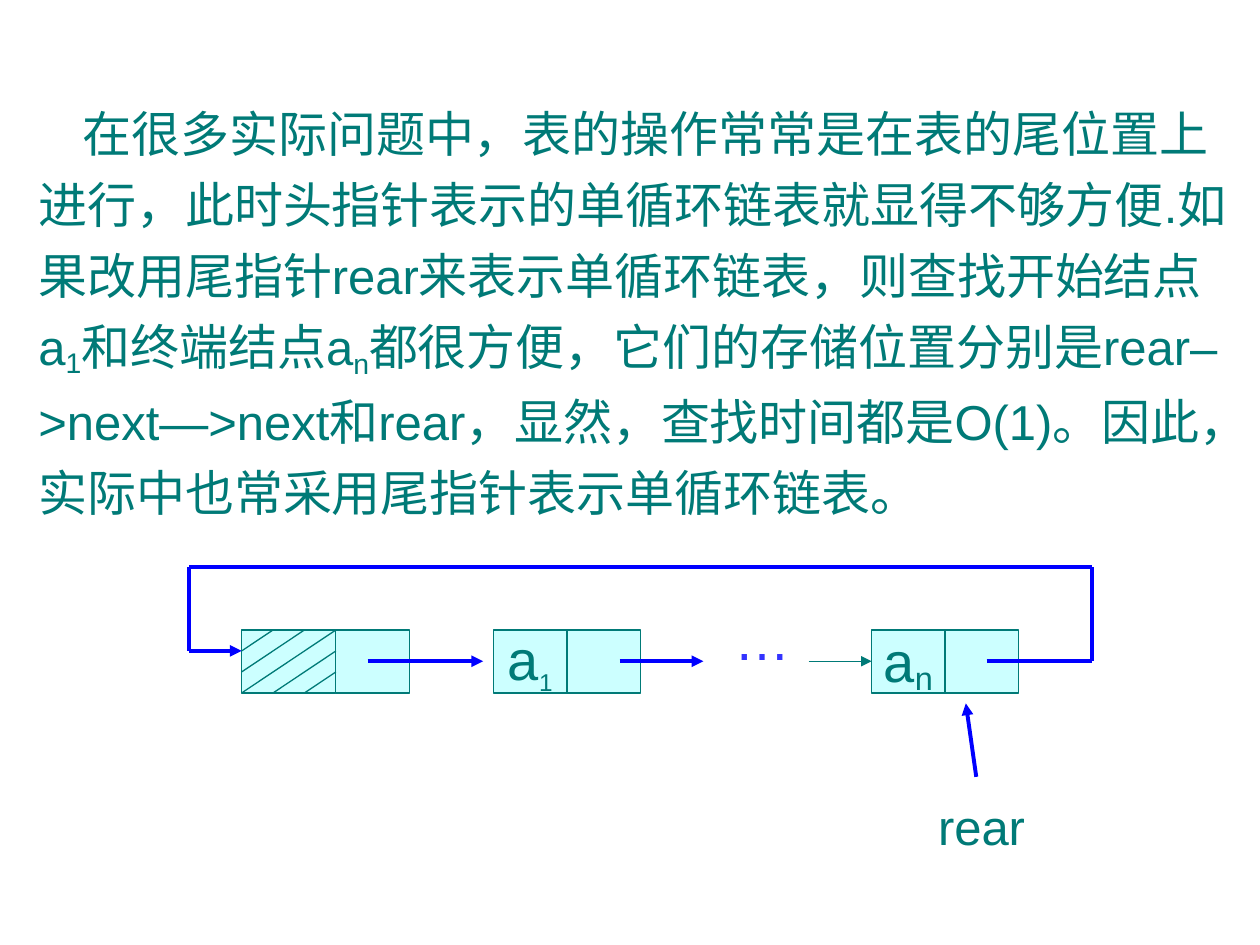
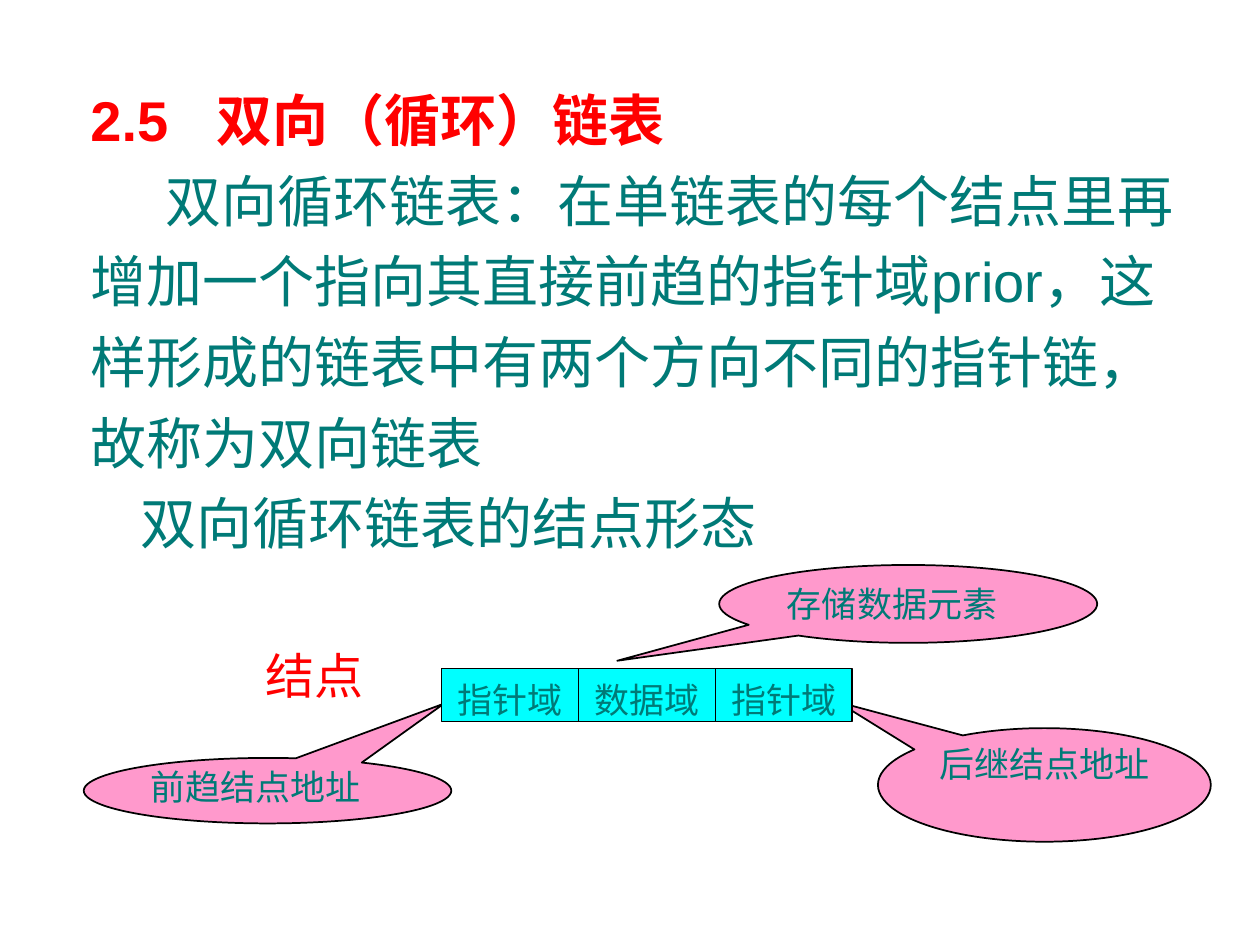
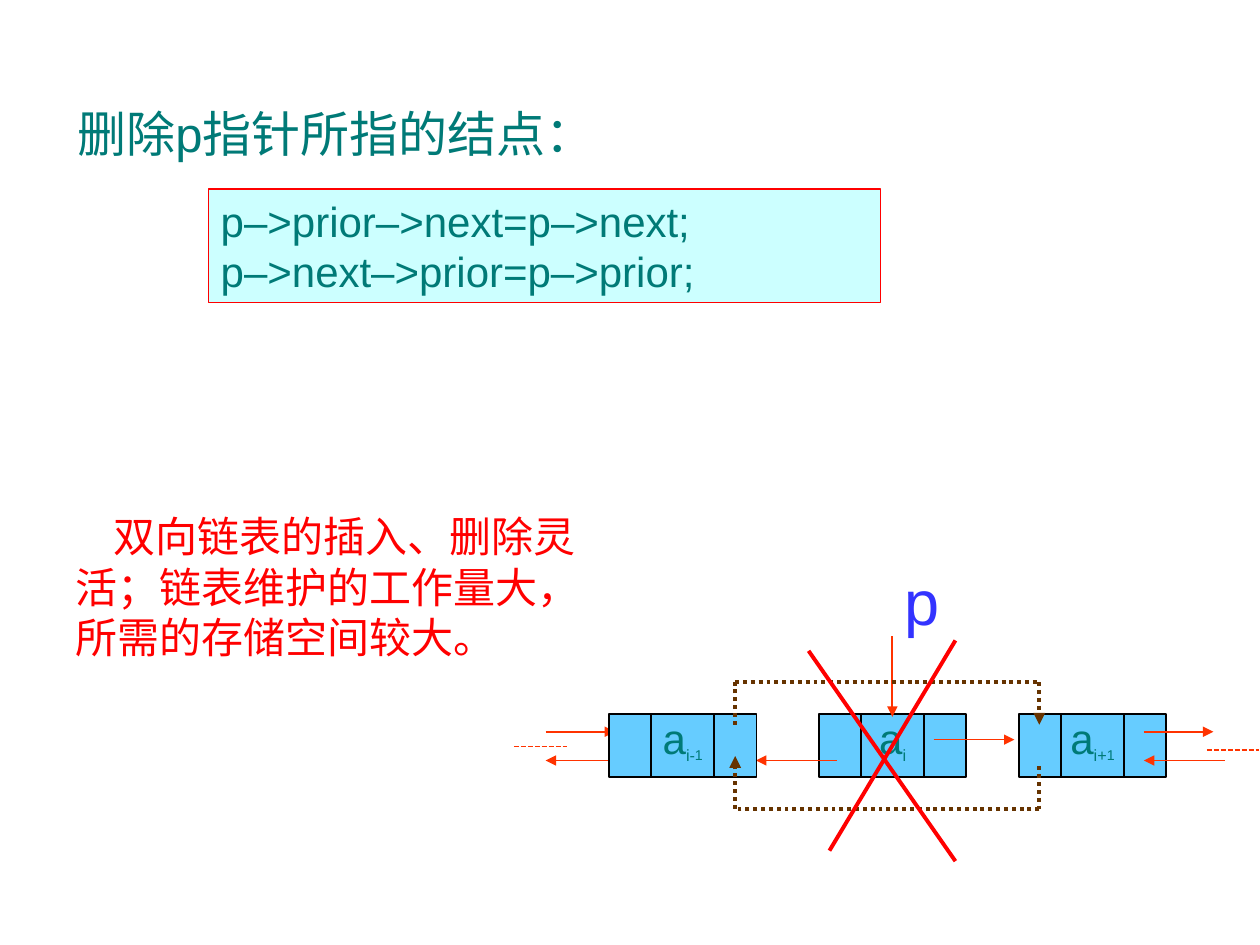
from itertools import pairwise

from lxml.etree import SubElement
from pptx import Presentation
from pptx.dml.color import RGBColor
from pptx.enum.dml import MSO_LINE as Dash
from pptx.enum.shapes import MSO_CONNECTOR as Connector, MSO_SHAPE as Shape
from pptx.enum.text import MSO_ANCHOR as Anchor, MSO_AUTO_SIZE as AutoSize, PP_ALIGN as Align
from pptx.oxml.ns import qn
from pptx.util import Cm, Pt

# Shared look
FONT = "Arial"
TEAL = RGBColor(0x00, 0x7A, 0x77)
RED = RGBColor(0xFF, 0x00, 0x00)
BLUE = RGBColor(0x00, 0x00, 0xFF)
VIOLET = RGBColor(0x33, 0x33, 0xFF)
ORANGE = RGBColor(0xFF, 0x33, 0x00)
BROWN = RGBColor(0x66, 0x33, 0x00)
BLACK = RGBColor(0x00, 0x00, 0x00)
PALE_CYAN = RGBColor(0xCC, 0xFF, 0xFF)
CYAN = RGBColor(0x00, 0xFF, 0xFF)
SKY = RGBColor(0x66, 0xCC, 0xFF)
PINK = RGBColor(0xFF, 0x99, 0xCC)

ROW_HEIGHT = 1.27


# Text
def write(frame, paragraphs, size, color=TEAL, bold=False, align=Align.LEFT,
          anchor=Anchor.TOP, spacing=1.0, before=0, indents=(), tab=None,
          wrap=True, fit=AutoSize.SHAPE_TO_FIT_TEXT):
    """Fill a frame; a paragraph is a string or a list of (text, size, baseline %)."""
    for name, value in {"word_wrap": wrap, "auto_size": fit,
                        "vertical_anchor": anchor}.items():
        setattr(frame, name, value)
    for number, runs in enumerate(paragraphs):
        paragraph = frame.add_paragraph() if number else frame.paragraphs[0]
        for name, value in {"alignment": align, "line_spacing": spacing,
                            "space_before": Pt(before), "space_after": Pt(0)}.items():
            setattr(paragraph, name, value)
        properties = paragraph._p.get_or_add_pPr()
        properties.set("marL", "0")
        properties.set("indent", str(Cm(indents[number] if indents else 0)))
        SubElement(properties, qn("a:buNone"))
        if tab:
            stops = SubElement(properties, qn("a:tabLst"))
            SubElement(stops, qn("a:tab"), pos=str(Cm(tab)), algn="l")
        for text, run_size, baseline in [(runs, size, 0)] if isinstance(runs, str) else runs:
            run = paragraph.add_run()
            run.text = text
            for name, value in {"name": FONT, "size": Pt(run_size), "bold": bold}.items():
                setattr(run.font, name, value)
            run.font.color.rgb = color
            if baseline:
                run._r.get_or_add_rPr().set("baseline", str(baseline * 1000))


def fill_placeholder(placeholder, box, paragraphs, size, **style):
    for name, value in zip(("left", "top", "width", "height"), box):
        setattr(placeholder, name, Cm(value))
    write(placeholder.text_frame, paragraphs, size, **style)


def add_label(slide, box, text, size, **style):
    label = slide.shapes.add_textbox(*map(Cm, box))
    write(label.text_frame, [text], size, **style)


# Shapes
def add_block(slide, box, fill, line, width=0.75, kind=Shape.RECTANGLE):
    block = slide.shapes.add_shape(kind, *map(Cm, box))
    block.shadow.inherit = False
    block.fill.solid()
    block.fill.fore_color.rgb = fill
    block.line.color.rgb = line
    block.line.width = Pt(width)
    return block


def add_cell(slide, box, fill, line, runs=None, size=20, width=0.75, **style):
    cell = add_block(slide, box, fill, line, width)
    if runs:
        write(cell.text_frame, [runs], size, align=Align.CENTER, anchor=Anchor.MIDDLE,
              wrap=False, fit=AutoSize.NONE, **style)


def add_callout(slide, box, tip, text, spacing):
    callout = add_block(slide, box, PINK, BLACK, 1, Shape.OVAL_CALLOUT)
    for number, value in enumerate(tip):
        callout.adjustments[number] = value
    write(callout.text_frame, [text], 20, spacing=spacing)


# Lines
def add_path(slide, points, color, width, arrow=False, dash=None):
    """Join points with straight lines; the last may carry an arrowhead."""
    for start, end in pairwise(points):
        segment = slide.shapes.add_connector(Connector.STRAIGHT, *map(Cm, start + end))
        segment.line.color.rgb = color
        segment.line.width = Pt(width)
        if dash:
            segment.line.dash_style = dash
        properties = segment._element.spPr
        if arrow and end == points[-1]:
            SubElement(properties.find(qn("a:ln")), qn("a:tailEnd"), type="triangle")
        SubElement(properties, qn("a:effectLst"))


def add_hatching(slide, left, top, width, height, steps=3):
    for step in range(1, 2 * steps):
        near, far = max(step - steps, 0) / steps, min(step, steps) / steps
        add_path(slide, [(left + far * width, top + near * height),
                         (left + near * width, top + far * height)], TEAL, 0.75)


# Slide 1: circular list with a rear pointer
def build_rear_pointer(deck):
    slide = deck.slides.add_slide(deck.slide_layouts[1])
    title = slide.shapes.title.element
    title.getparent().remove(title)
    fill_placeholder(slide.placeholders[1], (0.52, 1.73, 24.77, 8.92), [[
        ("在很多实际问题中，表的操作常常是在表的尾位置上进行，此时头指针表示的单循环链表"
         "就显得不够方便.如果改用尾指针rear来表示单循环链表，则查找开始结点a", 28, 0),
        ("1", 28, -16), ("和终端结点a", 28, 0), ("n", 28, -18),
        ("都很方便，它们的存储位置分别是rear–>next—>next和rear，显然，查找时间都是O(1)。"
         "因此，实际中也常采用尾指针表示单循环链表。", 28, 0),
    ]], 28, spacing=1.2, indents=[0.89])

    top, middle, cell = 12.7, 13.33, 1.48
    head_left, head_width = 4.87, 1.9
    nodes = [
        (head_left, head_width, None, {}),
        (9.95, cell, [("a", 32, 0), ("1", 24, -25)], {"spacing": 0.9, "before": 6}),
        (17.57, cell, [("a", 32, 0), ("n", 32, -14)], {"before": 8}),
    ]
    for left, width, name, style in nodes:
        add_cell(slide, (left, top, width, ROW_HEIGHT), PALE_CYAN, TEAL, name, **style)
        add_cell(slide, (left + width, top, cell, ROW_HEIGHT), PALE_CYAN, TEAL)
    add_hatching(slide, head_left, top, head_width, ROW_HEIGHT)

    for start, end in [(7.41, 9.74), (12.49, 14.18)]:
        add_path(slide, [(start, middle), (end, middle)], BLUE, 2.25, arrow=True)
    add_path(slide, [(16.3, middle), (17.57, middle)], TEAL, 0.75, arrow=True)
    add_path(slide, [(19.89, middle), (22.01, middle), (22.01, 11.43), (3.81, 11.43),
                     (3.81, 13.12), (head_left, 13.12)], BLUE, 2.25, arrow=True)
    add_path(slide, [(19.68, 15.66), (19.47, 14.18)], BLUE, 2.25, arrow=True)
    add_label(slide, (14.56, 12.07, 1.73, 1.62), "…", 32, color=VIOLET, before=8)
    add_label(slide, (18.66, 15.93, 2.5, 1.45), "rear", 28)


# Slide 2: node of a doubly linked list
def build_double_list(deck):
    slide = deck.slides.add_slide(deck.slide_layouts[1])
    fill_placeholder(slide.shapes.title, (1.57, 1.32, 22.7, 1.88),
                     ["2.5\t双向（循环）链表"], 32, color=RED, bold=True, spacing=1.2, tab=2.38)
    fill_placeholder(slide.placeholders[1], (1.57, 2.95, 22.7, 9.75), [
        "双向循环链表：在单链表的每个结点里再增加一个指向其直接前趋的指针域prior，"
        "这样形成的链表中有两个方向不同的指针链，故称为双向链表",
        "双向循环链表的结点形态",
    ], 32, spacing=1.2, indents=[1.51, 1.0])

    add_label(slide, (5.11, 12.88, 2.74, 1.45), "结点", 28, color=RED)
    for box, tip, text, spacing in [
        ((1.69, 15.28, 7.41, 1.32), (0.48, -1.33), "前趋结点地址", 0.8),
        ((14.5, 11.39, 7.62, 1.57), (-0.77, 0.73), "存储数据元素", 1.0),
        ((17.7, 14.68, 6.71, 2.29), (-0.62, -0.73), "后继结点地址", 0.8),
    ]:
        add_callout(slide, box, tip, text, spacing)
    field_width = 2.76
    for number, field in enumerate(["指针域", "数据域", "指针域"]):
        add_cell(slide, (8.9 + number * field_width, 13.48, field_width, 1.06),
                 CYAN, BLACK, field, spacing=1.2)


# Slide 3: deleting a node
def add_double_node(slide, left, name):
    for width, runs in [(0.85, None), (1.27, name), (0.85, None)]:
        add_cell(slide, (left, 14.39, width, ROW_HEIGHT), SKY, BLACK, runs,
                 width=1, spacing=0.6)
        left += width


def build_deletion(deck):
    slide = deck.slides.add_slide(deck.slide_layouts[5])
    fill_placeholder(slide.shapes.title, (1.31, 1.96, 12.7, 1.45),
                     ["删除p指针所指的结点："], 28)
    code = add_block(slide, (4.2, 3.81, 13.55, 2.29), PALE_CYAN, RED)
    write(code.text_frame, ["p–>prior–>next=p–>next;", "p–>next–>prior=p–>prior;"], 24)
    add_label(slide, (1.27, 10.17, 11.25, 3.3),
              "双向链表的插入、删除灵活；链表维护的工作量大，所需的存储空间较大。",
              24, color=RED, indents=[0.76])
    add_label(slide, (17.99, 11.22, 1.27, 1.78), "p", 36, color=VIOLET)

    # Existing links, partly covered by the left node
    add_double_node(slide, 20.54, [("a", 24, 0), ("i+", 16, -25), ("1", 14, -25)])
    add_double_node(slide, 16.51, [("a", 24, 0), ("i", 16, -25)])
    add_path(slide, [(17.99, 12.83), (17.99, 14.45)], ORANGE, 1, arrow=True)
    for start, end, height in [
        (11, 12.4, 14.75), (18.82, 20.45, 14.91), (23.06, 24.46, 14.75),
        (12.62, 11, 15.33), (16.87, 15.24, 15.33), (24.69, 23.06, 15.33),
    ]:
        add_path(slide, [(start, height), (end, height)], ORANGE, 1, arrow=True)
    for start, height in [(10.36, 15.05), (24.33, 15.12)]:
        add_path(slide, [(start, height), (start + 1.06, height)], ORANGE, 1,
                 dash=Dash.SQUARE_DOT)
    add_double_node(slide, 12.28, [("a", 24, 0), ("i-", 16, -25), ("1", 14, -25)])

    # New links around the deleted node
    previous, following = 14.82, 20.95
    for path in [
        [(previous, 14.61), (previous, 13.75), (following, 13.75), (following, 14.61)],
        [(following, 15.45), (following, 16.3), (previous, 16.3), (previous, 15.24)],
    ]:
        add_path(slide, path, BROWN, 2.25, arrow=True, dash=Dash.ROUND_DOT)
    for stroke in [[(19.26, 12.91), (16.72, 17.15)], [(16.3, 13.12), (19.26, 17.36)]]:
        add_path(slide, stroke, RED, 2.25)


def main():
    deck = Presentation()
    deck.slide_width, deck.slide_height = Cm(25.4), Cm(19.05)
    build_rear_pointer(deck)
    build_double_list(deck)
    build_deletion(deck)
    deck.save("out.pptx")


if __name__ == "__main__":
    main()
